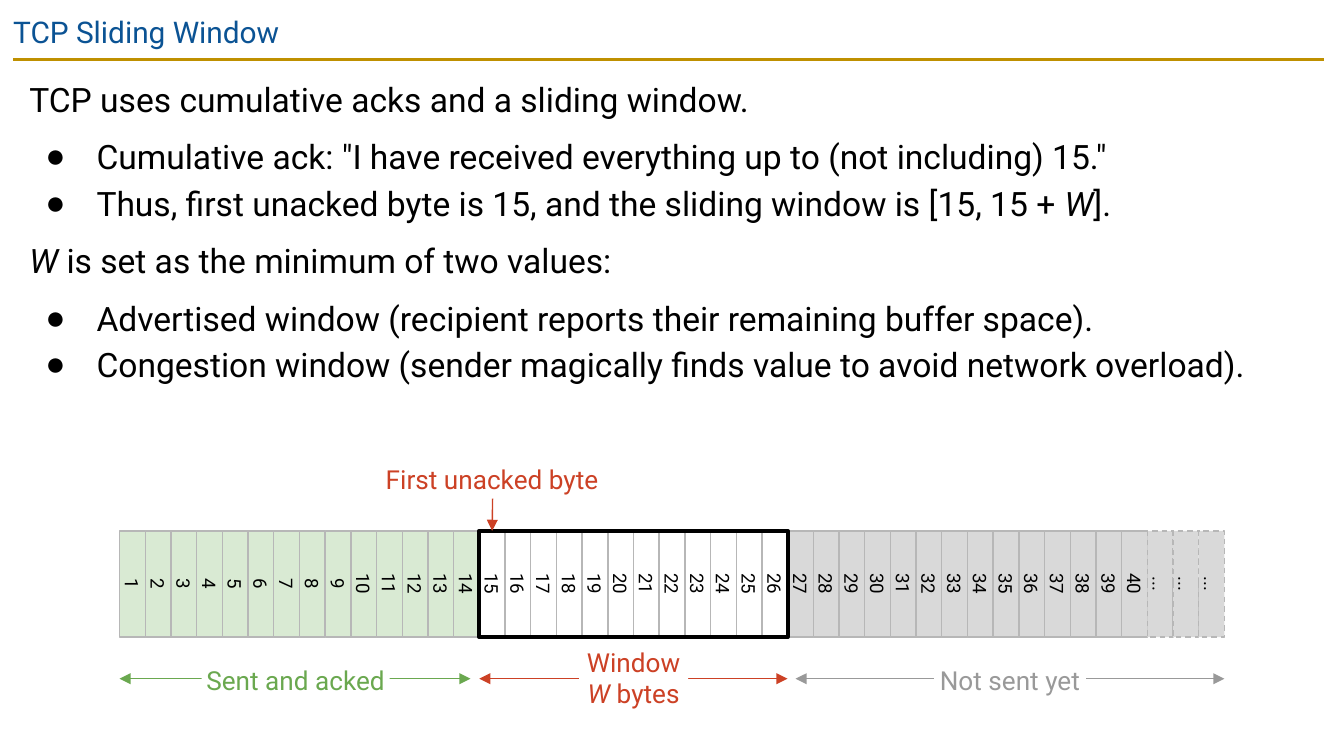
from dataclasses import dataclass

from lxml.etree import SubElement
from pptx import Presentation
from pptx.dml.color import RGBColor
from pptx.enum.dml import MSO_LINE
from pptx.enum.shapes import MSO_CONNECTOR, MSO_SHAPE
from pptx.enum.text import MSO_ANCHOR, PP_ALIGN
from pptx.oxml.ns import qn
from pptx.util import Inches, Pt


@dataclass(frozen=True)
class Theme:
    font: str = "Roboto"
    bullet_font: str = "Arial"
    black: str = "000000"
    white: str = "FFFFFF"
    title: str = "0B5394"
    rule: str = "BF9000"
    acked: str = "D9EAD3"
    unsent: str = "D9D9D9"
    cell_line: str = "B7B7B7"
    green: str = "6AA84F"
    red: str = "CC4125"
    grey: str = "999999"
    title_size: int = 16
    body_size: int = 18
    label_size: int = 14
    cell_size: int = 10


T = Theme()

# Byte strip geometry, in inches
LEFT, RIGHT, TOP, HEIGHT = 0.89, 9.11, 3.95, 0.79
ACKED, WINDOW_END, LAST, MORE = 14, 26, 40, 3
PITCH = (RIGHT - LEFT) / (LAST + MORE)
ARROW_Y = 5.05

# (text, bulleted, space before); asterisks enclose italics
BODY = [
    ("TCP uses cumulative acks and a sliding window.", False, 6),
    ('Cumulative ack: "I have received everything up to (not including) 15."', True, 6),
    ("Thus, first unacked byte is 15, and the sliding window is [15, 15 + *W*].", True, 0),
    ("*W* is set as the minimum of two values:", False, 6),
    ("Advertised window (recipient reports their remaining buffer space).", True, 6),
    ("Congestion window (sender magically finds value to avoid network overload).", True, 0),
]


def rgb(color):
    return RGBColor.from_string(color)


def write(p, text, *, size, color=T.black, align=None, spacing=None, before=None):
    """Fill a paragraph; parts between asterisks are italic."""
    p.alignment, p.line_spacing = align, spacing
    if before is not None:
        p.space_before = Pt(before)
    for i, part in enumerate(text.split("*")):
        if part:
            r = p.add_run()
            r.text = part
            r.font.name, r.font.size = T.font, Pt(size)
            r.font.color.rgb = rgb(color)
            if i % 2:
                r.font.italic = True


def set_frame(tf, inset, anchor=MSO_ANCHOR.TOP):
    tf.word_wrap, tf.vertical_anchor = True, anchor
    tf.margin_left = tf.margin_right = Inches(inset)
    tf.margin_top = tf.margin_bottom = Inches(inset)


def add_text(s, x, y, w, h, inset=0.1):
    sp = s.shapes.add_textbox(Inches(x), Inches(y), Inches(w), Inches(h))
    set_frame(sp.text_frame, inset)
    return sp


def add_bullet(p):
    pPr = p._p.get_or_add_pPr()
    pPr.set("marL", str(Inches(0.5)))
    pPr.set("indent", str(Inches(-0.38)))
    SubElement(SubElement(pPr, qn("a:buClr")), qn("a:srgbClr"), val=T.black)
    SubElement(pPr, qn("a:buFont"), typeface=T.bullet_font)
    SubElement(pPr, qn("a:buChar"), char="●")


def add_rect(shapes, x, y, w, h, *, fill=None, line=None, width=0.75, rotation=0):
    sp = shapes.add_shape(MSO_SHAPE.RECTANGLE, Inches(x), Inches(y), Inches(w), Inches(h))
    sp.shadow.inherit = False
    sp.rotation = rotation
    if fill:
        sp.fill.solid()
        sp.fill.fore_color.rgb = rgb(fill)
    else:
        sp.fill.background()
    if line:
        sp.line.color.rgb, sp.line.width = rgb(line), Pt(width)
    else:
        sp.line.fill.background()
    return sp


def add_line(shapes, x1, y1, x2, y2, color, *, width=0.75, ends=()):
    c = shapes.add_connector(
        MSO_CONNECTOR.STRAIGHT, Inches(x1), Inches(y1), Inches(x2), Inches(y2))
    c.line.color.rgb, c.line.width = rgb(color), Pt(width)
    for end in ends:
        SubElement(c.line._get_or_add_ln(), qn(f"a:{end}"), type="triangle")
    SubElement(c._element.spPr, qn("a:effectLst"))
    return c


def add_upright(s, x, w, **style):
    """Rectangle of the strip's height, turned so that its text runs downwards."""
    return add_rect(s.shapes, x + (w - HEIGHT) / 2, TOP + (HEIGHT - w) / 2,
                    HEIGHT, w, rotation=90, **style)


def add_cell(s, n):
    fill = T.acked if n <= ACKED else None if n <= WINDOW_END else T.unsent
    sp = add_upright(s, LEFT + (n - 1) * PITCH, PITCH, fill=fill, line=T.cell_line)
    if n > LAST:
        sp.line.dash_style = MSO_LINE.DASH
    set_frame(sp.text_frame, 0.1, MSO_ANCHOR.MIDDLE)
    write(sp.text_frame.paragraphs[0], str(n) if n <= LAST else "...",
          size=T.cell_size, align=PP_ALIGN.CENTER)
    return sp


def add_range(s, x1, x2, label_box, lines, color):
    """Double-headed arrow with a label over its middle."""
    group = s.shapes.add_group_shape()
    add_line(group.shapes, x1, ARROW_Y, x2, ARROW_Y, color, ends=("headEnd", "tailEnd"))
    tf = add_rect(group.shapes, *label_box, fill=T.white).text_frame
    set_frame(tf, 0.03)
    for i, text in enumerate(lines):
        p = tf.add_paragraph() if i else tf.paragraphs[0]
        write(p, text, size=T.label_size, color=color, align=PP_ALIGN.CENTER)


def main():
    # Widescreen 16:9 page
    prs = Presentation()
    prs.slide_width = Inches(10)
    prs.slide_height = prs.slide_width * 9 // 16
    s = prs.slides.add_slide(prs.slide_layouts[6])

    # Title and rule
    add_line(s.shapes, 0.1, 0.44, 9.85, 0.44, T.rule, width=1.5)
    title = add_text(s, 0, 0, 9.32, 0.43)
    write(title.text_frame.paragraphs[0], "TCP Sliding Window",
          size=T.title_size, color=T.title)

    # Body
    tf = add_text(s, 0.12, 0.44, 9.74, 2.92).text_frame
    for i, (text, bulleted, before) in enumerate(BODY):
        p = tf.add_paragraph() if i else tf.paragraphs[0]
        write(p, text, size=T.body_size, spacing=1.15, before=before)
        if bulleted:
            add_bullet(p)

    # Byte strip and window frame
    cells = [add_cell(s, n) for n in range(1, LAST + MORE + 1)]
    window_x = LEFT + ACKED * PITCH
    window_w = (WINDOW_END - ACKED) * PITCH
    add_upright(s, window_x, window_w, line=T.black, width=2.25)

    # Ranges below the strip
    add_range(s, LEFT, 3.5, (1.5, 4.91, 1.4, 0.29), ["Sent and acked"], T.green)
    add_range(s, 5.92, RIGHT, (6.95, 4.91, 1.13, 0.29), ["Not sent yet"], T.grey)
    add_range(s, window_x, window_x + window_w, (4.31, 4.78, 0.81, 0.54),
              ["Window", "*W* bytes"], T.red)

    # Pointer to the first unacked byte
    label = add_text(s, 2.84, 3.42, 1.65, 0.29, inset=0.03)
    write(label.text_frame.paragraphs[0], "First unacked byte",
          size=T.label_size, color=T.red)
    byte_x = window_x + PITCH / 2
    pointer = add_line(s.shapes, byte_x, TOP, byte_x, 3.71, T.red, ends=("headEnd",))
    pointer.begin_connect(cells[ACKED], 1)
    pointer.end_connect(label, 2)
    # The cell is turned, so its left side faces up: put the start there
    pointer.begin_x, pointer.begin_y = Inches(byte_x), Inches(TOP)

    prs.save("out.pptx")


if __name__ == "__main__":
    main()
